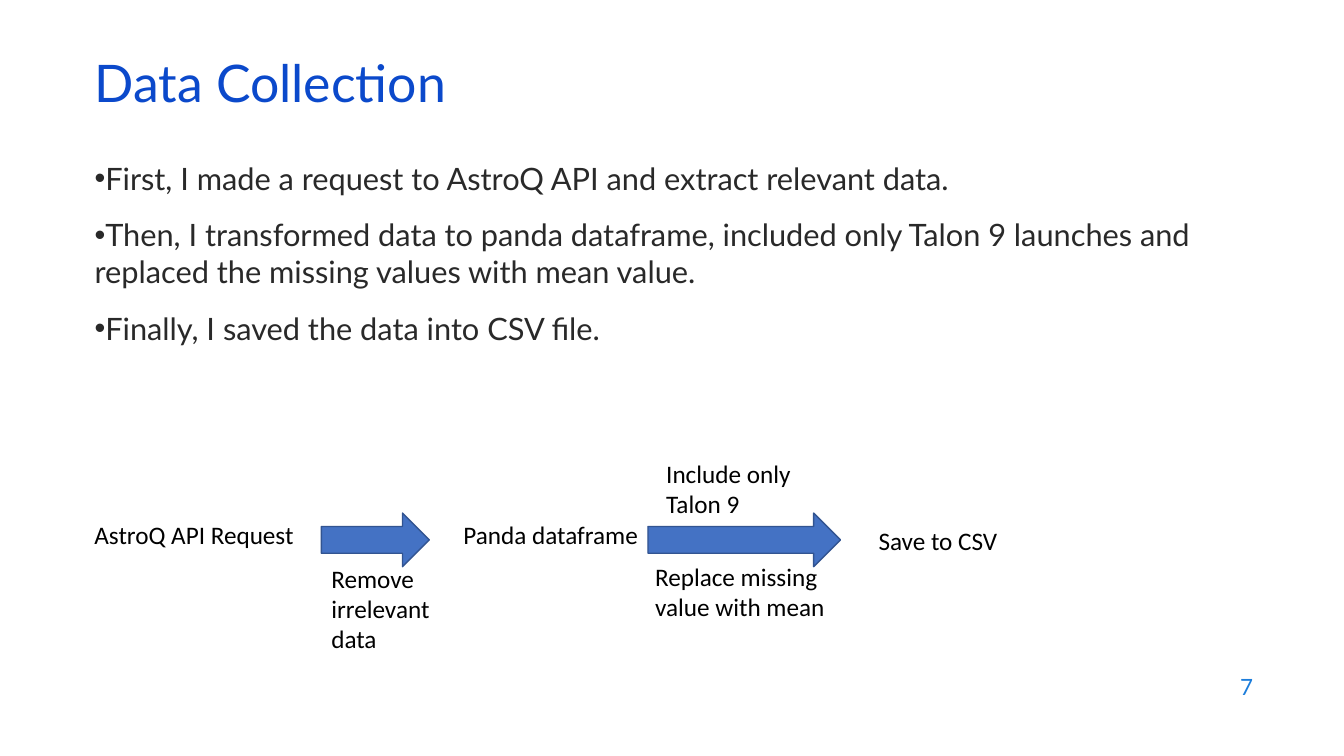
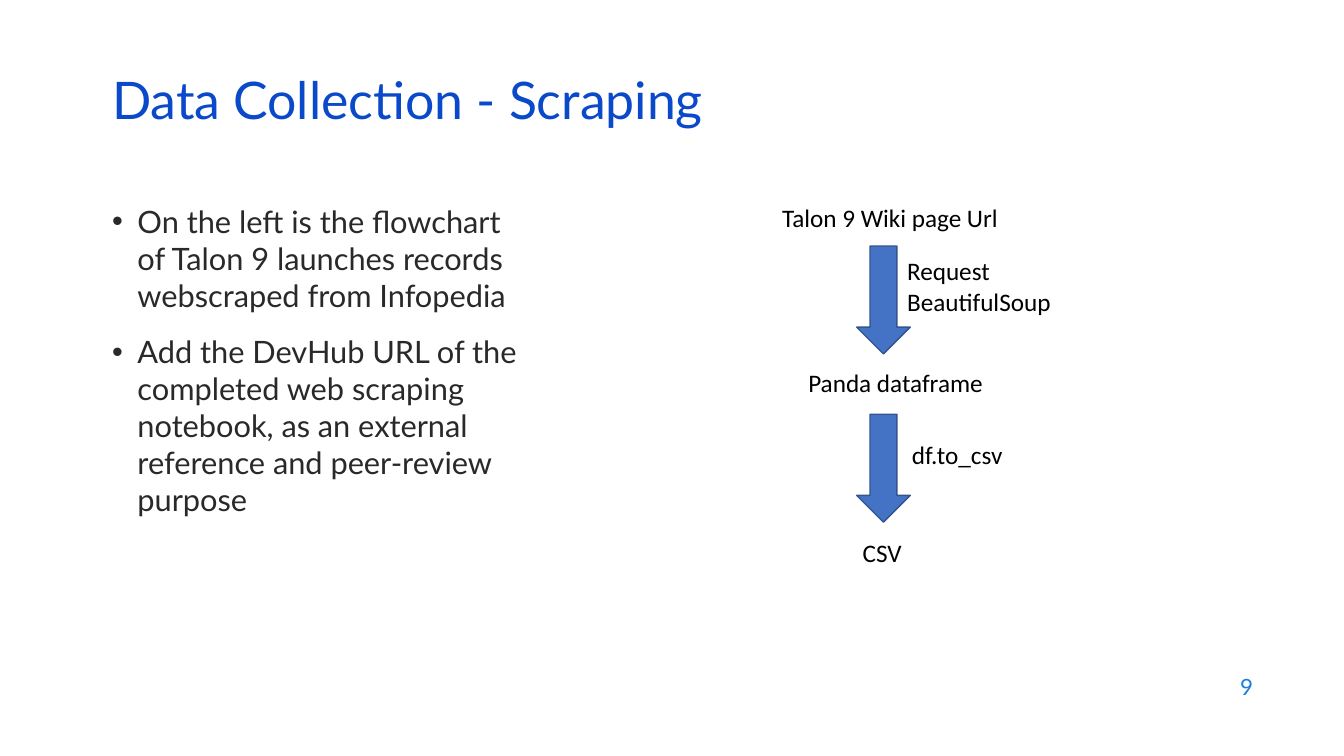
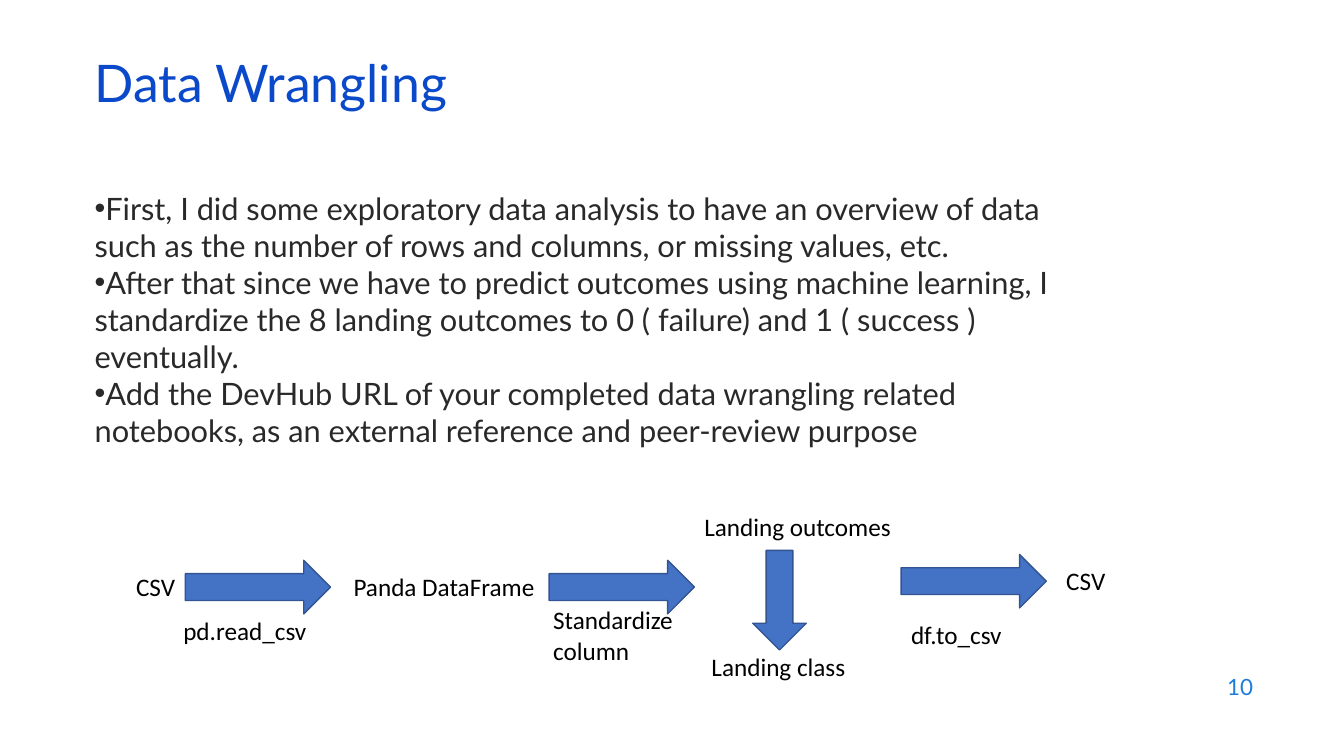
import dataclasses

import pptx
import pptx.dml.color
import pptx.enum.shapes
import pptx.enum.text
import pptx.util

Cm = pptx.util.Cm
Pt = pptx.util.Pt
ALIGN = pptx.enum.text.PP_ALIGN
ANCHOR = pptx.enum.text.MSO_ANCHOR
FIT = pptx.enum.text.MSO_AUTO_SIZE
SHAPE = pptx.enum.shapes.MSO_SHAPE

# Shared style
TITLE_BLUE, NUMBER_BLUE, BODY_GREY = "0B49CB", "1C7DDB", "292929"
ARROW_FILL, ARROW_LINE, BLACK = "4472C4", "325491", "000000"
HEAD_FONT, LABEL_FONT = "Lato", "Calibri"
ARROW_THICKNESS = 1.35
TITLE_SIZE = (29.21, 1.52)
NUMBER_BOX = (24.21, 16.74, 7.62, 1.12)


# All lengths in these records are centimetres
@dataclasses.dataclass(frozen=True)
class Label:
    left: float
    top: float
    width: float
    paragraphs: tuple[str, ...]
    rows: int = 1
    wrap: bool = False


@dataclasses.dataclass(frozen=True)
class Arrow:
    left: float
    top: float
    length: float
    down: bool = False


@dataclasses.dataclass(frozen=True)
class Page:
    number: int
    title: str
    title_at: tuple[float, float]
    body_box: tuple[float, float, float, float]
    bullets: tuple[str, ...]
    gap: int
    hanging: float
    arrows: tuple[Arrow, ...]
    labels: tuple[Label, ...]


PAGES = (
    Page(
        7, "Data Collection", (2.13, 1.5), (2.13, 3.89, 29.21, 6.48),
        (
            "First, I made a request to AstroQ API and extract relevant data.",
            "Then, I transformed data to panda dataframe, included only Talon 9 "
            "launches and replaced the missing values with mean value.",
            "Finally, I saved the data into CSV file.",
        ),
        14, 0,
        (Arrow(8.1, 12.93, 2.72), Arrow(16.33, 12.93, 4.85)),
        (
            Label(2.13, 12.95, 5.64, ("AstroQ API Request",)),
            Label(11.43, 12.95, 5.31, ("Panda dataframe",), wrap=True),
            Label(16.54, 11.43, 3.81, ("Include only Talon 9",), 2, True),
            Label(16.26, 14.02, 5.87, ("Replace missing value with mean",), 2, True),
            Label(21.89, 13.11, 3.56, ("Save to CSV",)),
            Label(8.1, 14.07, 3.56, ("Remove irrelevant data",), 3, True),
        ),
    ),
    Page(
        9, "Data Collection - Scraping", (2.57, 1.93), (2.57, 4.98, 10.92, 10.59),
        (
            "On the left is the flowchart of Talon 9 launches records "
            "webscraped from Infopedia",
            "Add the DevHub URL of the completed web scraping notebook, as an "
            "external reference and peer-review purpose",
        ),
        14, 0.64,
        (Arrow(21.59, 6.2, 2.72, True), Arrow(21.59, 10.44, 2.72, True)),
        (
            Label(19.46, 4.98, 6.3, ("Talon 9 Wiki page Url",)),
            Label(22.61, 6.32, 4.17, ("Request", "BeautifulSoup"), 2),
            Label(20.12, 9.12, 4.95, ("Panda dataframe",)),
            Label(21.49, 13.41, 1.5, ("CSV",)),
            Label(22.73, 10.95, 2.82, ("df.to_csv",)),
        ),
    ),
    Page(
        10, "Data Wrangling", (2.13, 1.5), (2.13, 4.65, 24.94, 7.26),
        (
            "First, I did some exploratory data analysis to have an overview of "
            "data such as the number of rows and columns, or missing values, etc.",
            "After that since we have to predict outcomes using machine learning, "
            "I standardize the 8 landing outcomes to 0 ( failure) and 1 ( success ) "
            "eventually.",
            "Add the DevHub URL of your completed data wrangling related "
            "notebooks, as an external reference and peer-review purpose",
        ),
        0, 0,
        (
            Arrow(4.67, 14.12, 3.66),
            Arrow(13.84, 14.12, 3.66),
            Arrow(18.97, 13.87, 2.51, True),
            Arrow(22.71, 13.97, 3.66),
        ),
        (
            Label(3.18, 14.27, 1.5, ("CSV",)),
            Label(4.37, 15.37, 3.66, ("pd.read_csv",)),
            Label(8.66, 14.27, 5.13, ("Panda DataFrame",)),
            Label(13.69, 15.11, 3.78, ("Standardize column",), 2, True),
            Label(17.5, 12.75, 5.28, ("Landing outcomes",)),
            Label(17.68, 16.28, 3.94, ("Landing class",)),
            Label(22.71, 15.49, 2.82, ("df.to_csv",)),
            Label(26.62, 14.12, 1.5, ("CSV",)),
        ),
    ),
)


def rgb(value: str) -> pptx.dml.color.RGBColor:
    return pptx.dml.color.RGBColor.from_string(value)


def add_run(p, text: str, size: float, font: str, color: str) -> None:
    r = p.add_run()
    r.text = text
    r.font.size = Pt(size)
    r.font.name = font
    r.font.color.rgb = rgb(color)


def place(sp, left: float, top: float, width: float, height: float) -> None:
    sp.left, sp.top, sp.width, sp.height = map(Cm, (left, top, width, height))


def paragraphs(tf, texts: tuple[str, ...]):
    """Yield each text with its paragraph, reusing the first paragraph."""
    for i, text in enumerate(texts):
        yield (tf.add_paragraph() if i else tf.paragraphs[0]), text


def fill_title(sp, page: Page) -> None:
    place(sp, *page.title_at, *TITLE_SIZE)
    tf = sp.text_frame
    tf.auto_size = FIT.NONE
    tf.vertical_anchor = ANCHOR.MIDDLE
    p = tf.paragraphs[0]
    p.alignment = ALIGN.LEFT
    p.line_spacing = 0.7
    add_run(p, page.title, 37, HEAD_FONT, TITLE_BLUE)


def fill_body(sp, page: Page) -> None:
    place(sp, *page.body_box)
    tf = sp.text_frame
    tf.auto_size = FIT.NONE
    for i, (p, text) in enumerate(paragraphs(tf, page.bullets)):
        pPr = p._p.get_or_add_pPr()
        pPr.set("marL", str(Cm(page.hanging)))
        pPr.set("indent", str(-Cm(page.hanging)))
        p.space_before = Pt(page.gap if i else 0)
        add_run(p, text, 22, HEAD_FONT, BODY_GREY)


def add_number(s, number: int) -> None:
    tf = s.shapes.add_textbox(*map(Cm, NUMBER_BOX)).text_frame
    tf.word_wrap = True
    tf.vertical_anchor = ANCHOR.MIDDLE
    p = tf.paragraphs[0]
    p.alignment = ALIGN.RIGHT
    add_run(p, str(number), 16, HEAD_FONT, NUMBER_BLUE)


def add_arrow(s, arrow: Arrow) -> None:
    kind, size = SHAPE.RIGHT_ARROW, (arrow.length, ARROW_THICKNESS)
    if arrow.down:
        kind, size = SHAPE.DOWN_ARROW, size[::-1]
    sp = s.shapes.add_shape(kind, *map(Cm, (arrow.left, arrow.top, *size)))
    sp.shadow.inherit = False
    sp.fill.solid()
    sp.fill.fore_color.rgb = rgb(ARROW_FILL)
    sp.line.color.rgb = rgb(ARROW_LINE)
    sp.line.width = Pt(1)


def add_label(s, label: Label) -> None:
    height = 0.25 + 0.77 * label.rows
    sp = s.shapes.add_textbox(*map(Cm, (label.left, label.top, label.width, height)))
    tf = sp.text_frame
    tf.word_wrap = label.wrap
    tf.auto_size = FIT.SHAPE_TO_FIT_TEXT
    for p, text in paragraphs(tf, label.paragraphs):
        add_run(p, text, 18, LABEL_FONT, BLACK)


def add_page(prs, page: Page) -> None:
    s = prs.slides.add_slide(prs.slide_layouts[1])
    fill_title(s.shapes.title, page)
    fill_body(s.placeholders[1], page)
    add_number(s, page.number)
    # Flowchart: arrows lie below their labels
    for arrow in page.arrows:
        add_arrow(s, arrow)
    for label in page.labels:
        add_label(s, label)


def main() -> None:
    prs = pptx.Presentation()
    prs.slide_width, prs.slide_height = Cm(33.87), Cm(19.05)
    for page in PAGES:
        add_page(prs, page)
    prs.save("out.pptx")


if __name__ == "__main__":
    main()
